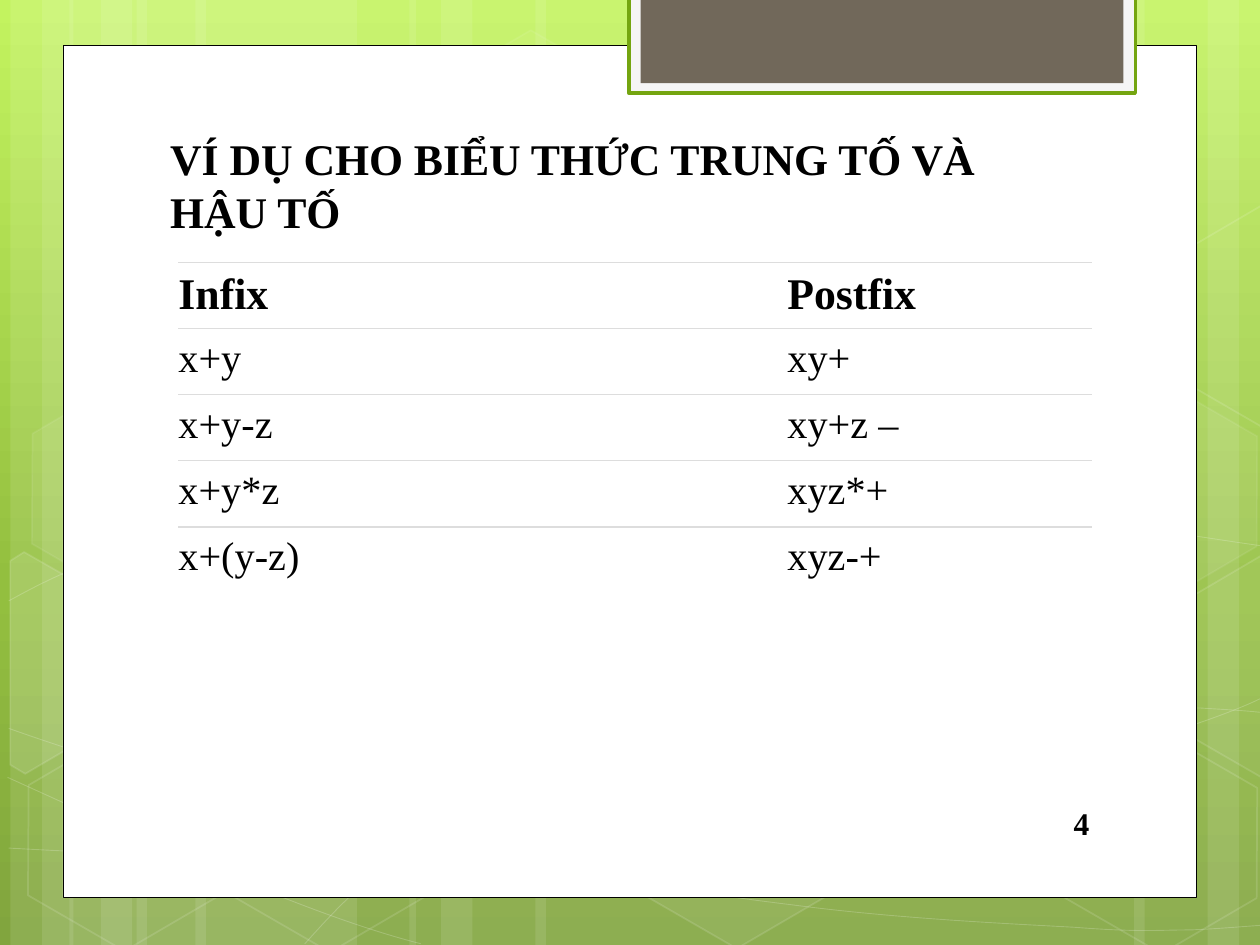
import copy
import math
from lxml import etree
from pptx import Presentation
from pptx import util as u
from pptx.dml.color import RGBColor
from pptx.enum import shapes, text
from pptx.oxml.ns import qn

Pt = u.Pt
C = {"top": "C3F35F", "mid": "93BF3F", "low": "81A53E", "white": "FFFFFF", "black": "000000",
     "frame": "F5F5F5", "green": "74A510", "brown": "71685A", "rule": "DDDDDD"}
RECT, HEX = shapes.MSO_SHAPE.RECTANGLE, shapes.MSO_SHAPE.HEXAGON


def paint(sp, fill=None, fa=100, line=None, w=1, la=100):
    sp.shadow.inherit = False
    for f, c, a in ((sp.fill, fill, fa), (sp.line.fill, line, la)):
        if not c:
            f.background()
            continue
        f.solid()
        f.fore_color.rgb = RGBColor.from_string(C[c])
        if a < 100:
            clr = f._xPr.find(qn("a:solidFill"))[0]
            etree.SubElement(clr, qn("a:alpha")).set("val", str(a * 1000))
    if line:
        sp.line.width = Pt(w)


def write(tf, words, size, bold=True, align=None):
    p = tf.paragraphs[0]
    p.alignment = align
    r = p.add_run()
    r.text = words
    for k, v in {"name": "Times New Roman", "size": Pt(size), "bold": bold}.items():
        setattr(r.font, k, v)
    r.font.color.rgb = RGBColor.from_string(C["black"])


prs = Presentation()
prs.slide_width, prs.slide_height = Pt(720), Pt(540)
s = prs.slides.add_slide(prs.slide_layouts[5])

bg = s.background.fill
bg.gradient()
bg.gradient_angle = 270
gs = s._element.find(".//" + qn("a:gsLst"))
gs.insert(1, copy.deepcopy(gs[0]))
for stop, c, pos in zip(bg.gradient_stops, ("top", "mid", "low"), (0, 0.62, 1)):
    stop.color.rgb = RGBColor.from_string(C[c])
    stop.position = pos

for x, w, rot in ((78, 126, 0), (6, 36, 0), (24, 60, 0), (111.6, 126, 0), (39.6, 36, 0),
                  (57.6, 60, 0), (528, 126, 180), (690, 36, 180), (648, 60, 180),
                  (306, 222, 0), (234, 36, 0), (252, 60, 0)):
    sp = s.shapes.add_shape(RECT, Pt(x), 0, Pt(w), Pt(540))
    sp.rotation = rot
    paint(sp, "white", 10)

curves = [
    [(5, 484.6), (43.9, 486.7), (82.8, 488.9), (136.8, 488.2), (190.8, 487.4), (257.8, 486),
     (329.8, 478.8), (401.8, 471.6), (504, 457.9), (570.2, 444.2), (635.8, 430.6), (703.4, 409),
     (725, 396.7)],
    [(5, 343.4), (25.9, 331.9), (46.8, 321.1), (87.1, 310.3), (128.2, 299.5), (186.5, 283.7),
     (249.8, 278.6), (313.2, 273.6), (391.7, 272.9), (470.9, 278.6), (550.1, 284.4),
     (681.8, 306.7), (725, 312.5)],
    [(4.3, 444.2), (91.4, 483.8), (177.8, 523.4), (240.5, 539.3)],
    [(5, 416.2), (27.4, 424.1), (50.4, 432), (92.2, 443.5), (133.9, 454.3), (196.6, 472.3),
     (257, 484.6), (316.8, 496.8), (392.4, 509.8), (452.2, 517), (511.9, 524.9), (576, 527.8),
     (614.2, 529.9), (651.6, 532.8), (661.7, 531.4), (680.4, 531.4), (699.1, 530.6),
     (712.1, 529.2), (725, 528.5)],
    [(174.2, 539.3), (187.2, 524.9), (200.2, 510.5), (217.4, 497.5), (234.7, 484.6),
     (259.2, 470.2), (279.4, 460.1), (299.5, 450), (311.8, 445.7), (338.4, 438.5),
     (364.3, 431.3), (412.6, 421.2), (437.8, 416.2), (463.7, 411.1), (467.3, 411.1),
     (489.6, 409.7), (511.9, 407.5), (547.2, 405.4), (571.7, 404.6), (596.9, 403.9),
     (637.9, 404.6), (637.9, 404.6), (654, 404.6), (686.2, 404.6), (686.2, 404.6),
     (699.1, 405.4), (711.4, 406.1), (717.8, 406.8), (724.3, 407.5), (722.2, 406.8),
     (724.3, 407.5)],
]
for pts in curves:
    pts = [(Pt(x), Pt(y)) for x, y in pts]
    fb = s.shapes.build_freeform(*pts[0], scale=1.0)
    fb.add_line_segments(pts[1:], close=False)
    sp = fb.convert_to_shape()
    outline = sp._element.find(".//" + qn("a:path"))
    steps = outline.findall(qn("a:lnTo"))
    for i in range(0, len(steps), 3):
        bez = etree.SubElement(outline, qn("a:cubicBezTo"))
        for step in steps[i:i + 3]:
            bez.append(step[0])
            outline.remove(step)
    paint(sp, None, 100, "white", 0.5, 20)

for x, y, fa, la in ((240.5, 25.9, 4, 8), (357.8, 424.1, 6, 12), (7.9, 425.5, 0, 12),
                     (10.1, 224.6, 7, 8), (125.3, 426.2, 0, 12), (542.2, 326.2, 10, 12),
                     (600.5, 427, 0, 12), (600.5, 226.1, 7, 8)):
    sp = s.shapes.add_shape(HEX, Pt(x), Pt(y), Pt(126), Pt(109.4))
    sp.adjustments[0] = 0.285
    sp.rotation = 30
    paint(sp, "white" if fa else None, fa, "white", 1, la)

cut_hexagons = [
    ((25.9, 385.2), 10, [(5.8, 320.4), (13.7, 315.4), (69.1, 347), (68.4, 410.4),
                         (14.4, 442.1), (5.8, 437)]),
    ((709.2, 374.4), 4, [(666.7, 349.2), (720.7, 317.5), (726.5, 321.1), (726.5, 441.4),
                         (721.4, 444.2), (666.7, 412.6)]),
    ((709.2, 173.5), 0, [(666.7, 149), (720.7, 117.4), (727.2, 121), (726.5, 241.2),
                         (721.4, 244.1), (666.7, 212.4)]),
]
cos, sin = math.cos(math.radians(30)), math.sin(math.radians(30))
for (cx, cy), fa, pts in cut_hexagons:
    pts = [(Pt(cx + (x - cx) * cos + (y - cy) * sin), Pt(cy - (x - cx) * sin + (y - cy) * cos))
           for x, y in pts]
    fb = s.shapes.build_freeform(*pts[0], scale=1.0)
    fb.add_line_segments(pts[1:])
    sp = fb.convert_to_shape()
    sp.rotation = 30
    paint(sp, "white" if fa else None, fa, "white", 1, 12)

for x, y, w, h, fill, line, lw in ((36, 25.9, 648, 487.2, "white", "black", 0.5),
                                   (359.3, -1.5, 289.5, 54.7, "frame", "green", 2),
                                   (366, -1.5, 276, 49, "brown", None, 0)):
    paint(s.shapes.add_shape(RECT, Pt(x), Pt(y), Pt(w), Pt(h)), fill, line=line, w=lw)

rows = [("Infix", "Postfix"), ("x+y", "xy+"), ("x+y-z", "xy+z –"), ("x+y*z", "xyz*+"),
        ("x+(y-z)", "xyz-+")]
tb = s.shapes.add_table(5, 3, Pt(102), Pt(150), Pt(522), Pt(189)).table
tb.first_row = tb.horz_banding = False
for col, w in zip(tb.columns, (216, 132, 174)):
    col.width = Pt(w)
for i, (infix, postfix) in enumerate(rows):
    tb.rows[i].height = Pt(37.8)
    for j, words in enumerate((infix, "", postfix)):
        c = tb.cell(i, j)
        for k, v in {"left": 0, "right": 7.2, "top": 4.5, "bottom": 4}.items():
            setattr(c, "margin_" + k, Pt(v))
        c.fill.solid()
        c.fill.fore_color.rgb = RGBColor.from_string(C["white"])
        if words:
            write(c.text_frame, words, 23 if i else 25, i == 0)
        for n, side in enumerate("LRTB"):
            ln = etree.Element(qn("a:ln" + side), w=str(Pt(0.75)))
            if side == "T" or side == "B" and i < 4:
                f = etree.SubElement(ln, qn("a:solidFill"))
                etree.SubElement(f, qn("a:srgbClr"), val=C["rule"])
            else:
                etree.SubElement(ln, qn("a:noFill"))
            c._tc.tcPr.insert(n, ln)

title = s.shapes.title
s.shapes._spTree.append(title._element)
num = s.shapes.add_textbox(0, 0, 0, 0)
for sp, box, words, size, align in (
        (title, (90, 71.8, 510, 67.7), "VÍ DỤ CHO BIỂU THỨC TRUNG TỐ VÀ HẬU TỐ", 25,
         text.PP_ALIGN.LEFT),
        (num, (588, 456, 60, 29), "4", 18, text.PP_ALIGN.CENTER)):
    for k, v in zip(("left", "top", "width", "height"), box):
        setattr(sp, k, Pt(v))
    tf = sp.text_frame
    for k, v in {"word_wrap": True, "vertical_anchor": text.MSO_ANCHOR.TOP,
                 "auto_size": text.MSO_AUTO_SIZE.NONE}.items():
        setattr(tf, k, v)
    write(tf, words, size, True, align)

prs.save("out.pptx")
